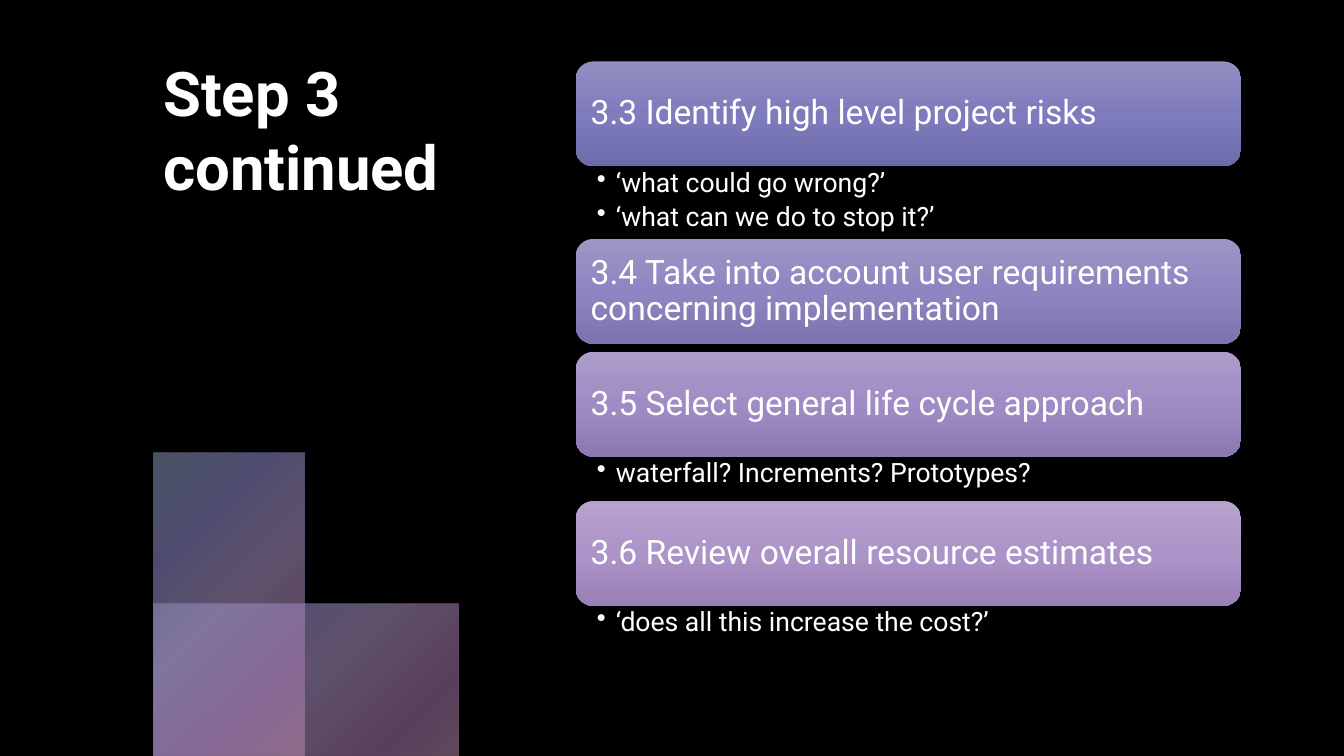
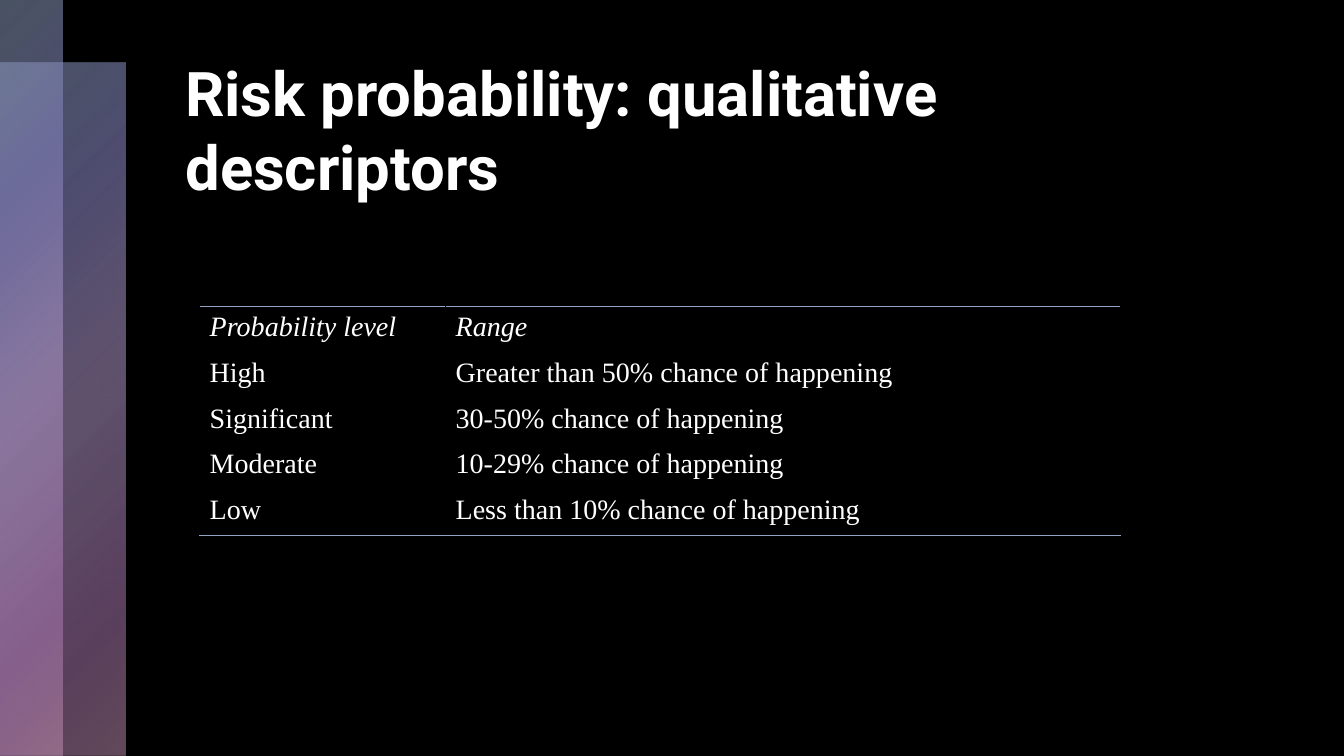
from dataclasses import dataclass

from lxml import etree
from pptx import Presentation
from pptx.dml.color import RGBColor
from pptx.enum.shapes import MSO_SHAPE
from pptx.enum.text import MSO_ANCHOR, PP_ALIGN
from pptx.oxml.ns import qn
from pptx.presentation import Presentation as Deck
from pptx.shapes.autoshape import Shape
from pptx.slide import Slide
from pptx.table import _Cell
from pptx.text.text import TextFrame, _Paragraph
from pptx.util import Inches, Pt

RECTANGLE = MSO_SHAPE.RECTANGLE
ROUNDED = MSO_SHAPE.ROUNDED_RECTANGLE
TOP, MIDDLE = MSO_ANCHOR.TOP, MSO_ANCHOR.MIDDLE
LEFT, JUSTIFY = PP_ALIGN.LEFT, PP_ALIGN.JUSTIFY

BLACK, WHITE, RULE = "000000", "FFFFFF", "92A4C4"
SANS, SERIF = "Roboto", "Times New Roman"
CARD_LEFT, CARD_TOP, CARD_WIDTH, CARD_HEIGHT = 5.71, 0.61, 6.6, 1.04
BULLET_INDENT = 0.19


@dataclass(frozen=True)
class Stop:
    position: int
    color: str
    alpha: int = 100


@dataclass(frozen=True)
class Box:
    left: float
    top: float
    width: float
    height: float

    def lengths(self) -> tuple[Inches, ...]:
        return tuple(Inches(v) for v in (self.left, self.top, self.width, self.height))


@dataclass(frozen=True)
class Step:
    heading: str
    shades: tuple[str, str, str]
    space_below: float
    notes: tuple[str, ...] = ()


GLASS = (
    Stop(0, "92A4C4", 50),
    Stop(25, "827FBA", 60),
    Stop(50, "AD96C6", 55),
    Stop(81, "B37FBA", 50),
    Stop(99, "C593B5", 50),
)
SIDE_BANDS = (Box(0, 0.62, 1.24, 6.88), Box(0, 0, 0.62, 7.5))
CORNER_BLOCKS = (Box(1.52, 5.99, 3.03, 1.51), Box(1.52, 4.49, 1.5, 3.01))

STEPS = (
    Step("3.3 Identify high level project risks", ("918EC2", "7F7CBD", "6E6BAB"), 0.72,
         ("‘what could go wrong?’", "‘what can we do to stop it?’")),
    Step("3.4 Take into account user requirements concerning implementation",
         ("9E95C6", "9084C1", "7E72AF"), 0.08),
    Step("3.5 Select general life cycle approach", ("AB9BC9", "9F8CC5", "8C79B2"), 0.44,
         ("waterfall? Increments? Prototypes?",)),
    Step("3.6 Review overall resource estimates", ("B6A2CD", "AD94C8", "9A80B5"), 0.44,
         ("‘does all this increase the cost?’",)),
)
PROBABILITIES = (
    ("Probability level", "Range"),
    ("High", "Greater than 50% chance of happening"),
    ("Significant", "30-50% chance of happening"),
    ("Moderate", "10-29% chance of happening"),
    ("Low", "Less than 10% chance of happening"),
)


def rgb(color: str) -> RGBColor:
    return RGBColor.from_string(color)


def set_font(paragraph: _Paragraph, size: float, name: str = SANS,
             bold: bool = False, italic: bool = False) -> None:
    font = paragraph.font
    font.name, font.size, font.bold, font.italic = name, Pt(size), bold, italic
    font.color.rgb = rgb(WHITE)


def set_frame(frame: TextFrame, anchor: MSO_ANCHOR,
              insets: tuple[float, float, float, float]) -> None:
    frame.word_wrap = True
    frame.vertical_anchor = anchor
    (frame.margin_left, frame.margin_top,
     frame.margin_right, frame.margin_bottom) = (Inches(v) for v in insets)


def fill_gradient(shape: Shape, stops: tuple[Stop, ...], radial: bool) -> None:
    gradient = etree.Element(qn("a:gradFill"), rotWithShape="1")
    stop_list = etree.SubElement(gradient, qn("a:gsLst"))
    for stop in stops:
        entry = etree.SubElement(stop_list, qn("a:gs"), pos=str(stop.position * 1000))
        color = etree.SubElement(entry, qn("a:srgbClr"), val=stop.color)
        if stop.alpha < 100:
            etree.SubElement(color, qn("a:alpha"), val=str(stop.alpha * 1000))
    if radial:
        circle = etree.SubElement(gradient, qn("a:path"), path="circle")
        etree.SubElement(circle, qn("a:fillToRect"), r="100000", b="100000")
    else:
        etree.SubElement(gradient, qn("a:lin"), ang="5400000", scaled="0")
    shape.fill.background()
    properties = shape._element.spPr
    properties.replace(properties.find(qn("a:noFill")), gradient)


def add_panel(slide: Slide, kind: MSO_SHAPE, box: Box,
              stops: tuple[Stop, ...], radial: bool) -> Shape:
    panel = slide.shapes.add_shape(kind, *box.lengths())
    panel.shadow.inherit = False
    panel.line.fill.background()
    fill_gradient(panel, stops, radial)
    return panel


def add_slide(deck: Deck, title: str, title_box: Box, glass_boxes: tuple[Box, ...]) -> Slide:
    slide = deck.slides.add_slide(deck.slide_layouts[6])
    slide.background.fill.solid()
    slide.background.fill.fore_color.rgb = rgb(BLACK)
    for box in glass_boxes:
        add_panel(slide, RECTANGLE, box, GLASS, radial=True)
    frame = slide.shapes.add_textbox(*title_box.lengths()).text_frame
    set_frame(frame, TOP, (0.1, 0.05, 0.1, 0.05))
    frame.text = title
    set_font(frame.paragraphs[0], 44, bold=True)
    return slide


def add_notes(slide: Slide, box: Box, notes: tuple[str, ...]) -> None:
    frame = slide.shapes.add_textbox(*box.lengths()).text_frame
    set_frame(frame, TOP, (0.21, 0.03, 0.19, 0.03))
    frame.text = "\n".join(notes)
    for paragraph in frame.paragraphs:
        properties = paragraph._p.get_or_add_pPr()
        properties.set("marL", str(Inches(BULLET_INDENT)))
        properties.set("indent", str(-Inches(BULLET_INDENT)))
        etree.SubElement(properties, qn("a:buChar"), char="•")
        paragraph.line_spacing = 0.9
        paragraph.space_after = Pt(4)
        set_font(paragraph, 19)


def add_steps(slide: Slide) -> None:
    top = CARD_TOP
    for step in STEPS:
        shades = tuple(Stop(i * 50, color) for i, color in enumerate(step.shades))
        card = add_panel(slide, ROUNDED, Box(CARD_LEFT, top, CARD_WIDTH, CARD_HEIGHT),
                         shades, radial=False)
        set_frame(card.text_frame, MIDDLE, (0.1, 0.1, 0.1, 0.1))
        card.text_frame.text = step.heading
        heading = card.text_frame.paragraphs[0]
        heading.alignment = LEFT
        heading.line_spacing = 0.9
        set_font(heading, 24)
        top += CARD_HEIGHT
        if step.notes:
            add_notes(slide, Box(CARD_LEFT, top, CARD_WIDTH, step.space_below), step.notes)
        top += step.space_below


def set_borders(cell: _Cell, top_rule: bool, bottom_rule: bool) -> None:
    properties = cell._tc.get_or_add_tcPr()
    sides = (("L", False), ("R", False), ("T", top_rule), ("B", bottom_rule))
    for position, (side, ruled) in enumerate(sides):
        border = etree.Element(qn(f"a:ln{side}"), w=str(Pt(1 if ruled else 0.75)))
        solid = etree.SubElement(border, qn("a:solidFill"))
        etree.SubElement(solid, qn("a:srgbClr"), val=RULE if ruled else BLACK)
        properties.insert(position, border)


def add_probabilities(slide: Slide) -> None:
    last = len(PROBABILITIES) - 1
    table = slide.shapes.add_table(
        len(PROBABILITIES), 2, *Box(1.98, 3.04, 9.13, 2.27).lengths()).table
    table.first_row = table.horz_banding = False
    for column, width in zip(table.columns, (2.44, 6.69)):
        column.width = Inches(width)
    for row, texts in enumerate(PROBABILITIES):
        for column, text in enumerate(texts):
            cell = table.cell(row, column)
            cell.fill.solid()
            cell.fill.fore_color.rgb = rgb(BLACK)
            set_borders(cell, row == 0, row == last)
            cell.text = text
            paragraph = cell.text_frame.paragraphs[0]
            paragraph.alignment = JUSTIFY
            set_font(paragraph, 20, SERIF, italic=row == 0)


def main() -> None:
    deck = Presentation()
    deck.slide_width, deck.slide_height = Inches(13.33), Inches(7.5)
    add_steps(add_slide(deck, "Step 3 continued", Box(1.52, 0.5, 3.48, 3.71), CORNER_BLOCKS))
    add_probabilities(add_slide(deck, "Risk probability: qualitative descriptors",
                                Box(1.74, 0.5, 10.37, 1.7), SIDE_BANDS))
    deck.save("out.pptx")


if __name__ == "__main__":
    main()
